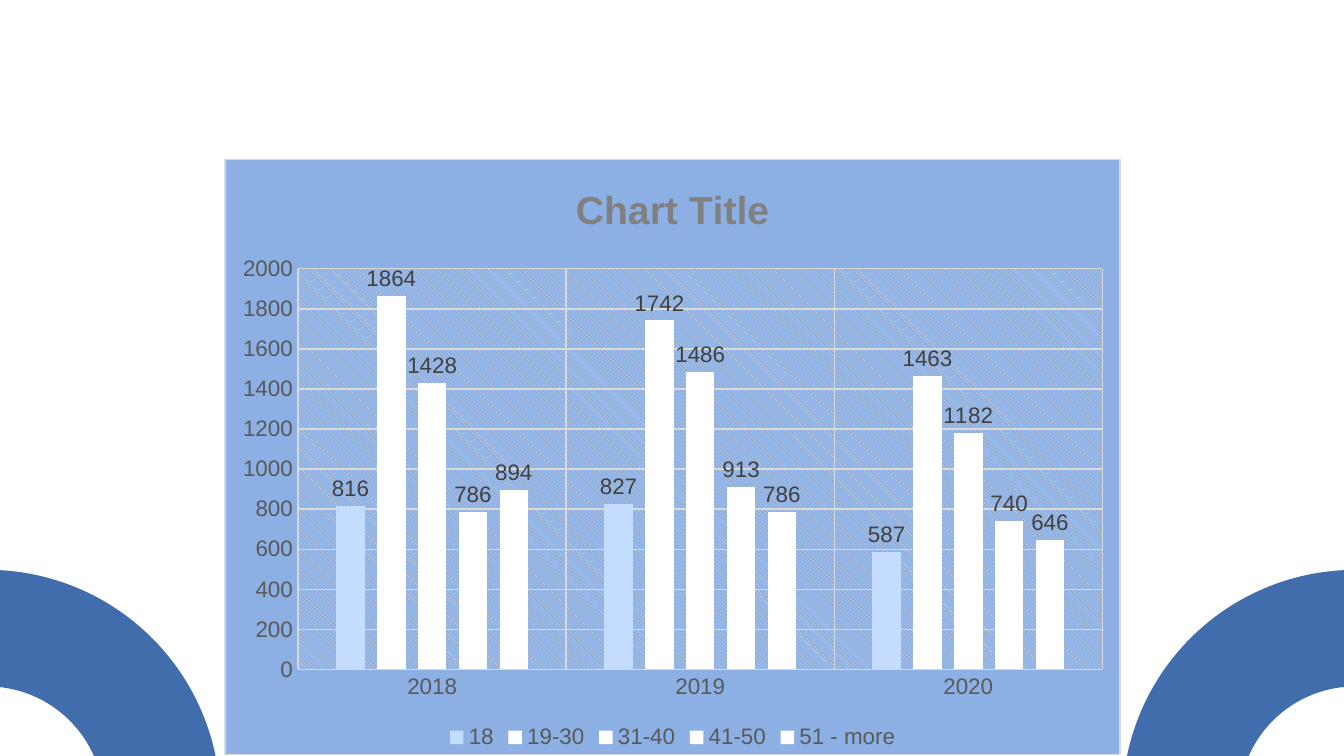
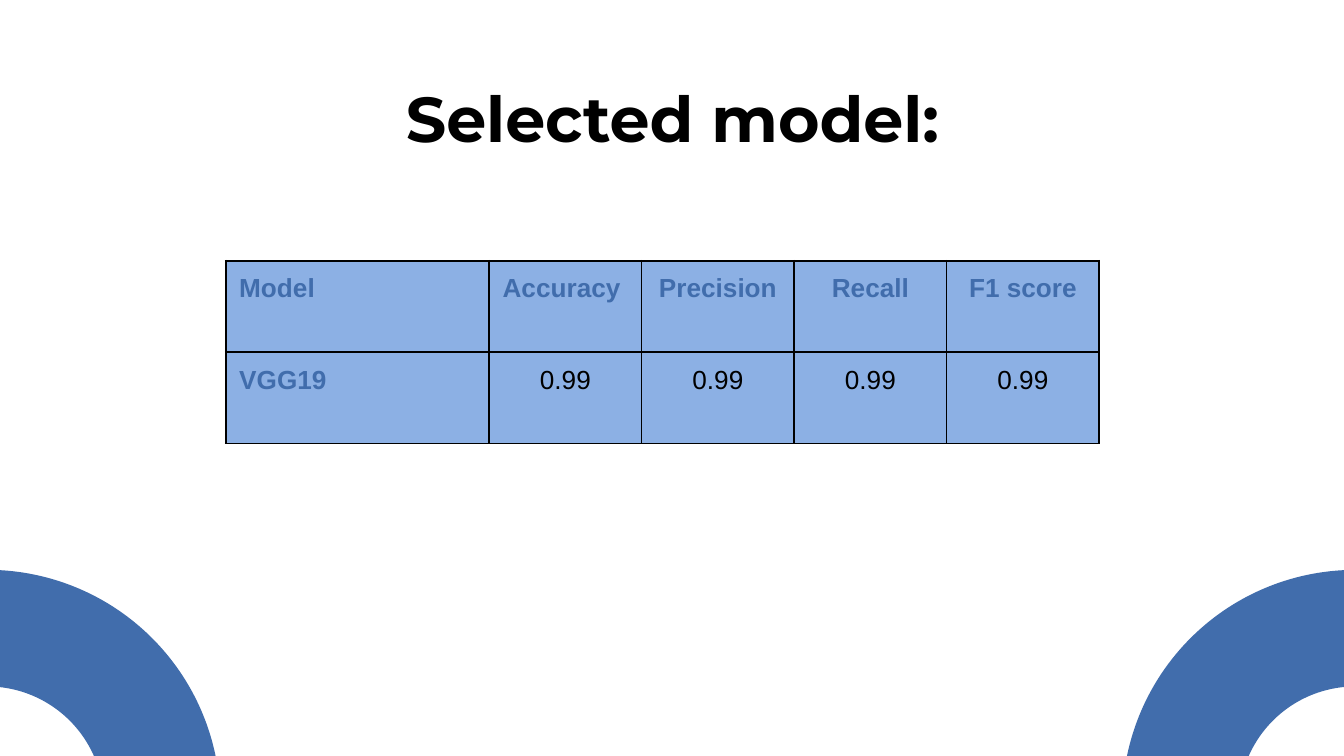
"""Build two slides: a yearly age-group chart and the selected model's scores."""
from lxml.etree import SubElement
from pptx import Presentation
from pptx.chart.data import CategoryChartData
from pptx.dml.color import RGBColor
from pptx.enum.chart import XL_CHART_TYPE, XL_LABEL_POSITION, XL_LEGEND_POSITION, XL_TICK_MARK
from pptx.enum.shapes import MSO_SHAPE
from pptx.enum.text import MSO_ANCHOR, PP_ALIGN
from pptx.oxml import parse_xml
from pptx.oxml.ns import nsdecls, qn
from pptx.util import Inches, Pt

BLUE = RGBColor(0x41, 0x6D, 0xAC)
SKY = RGBColor(0x8C, 0xB0, 0xE4)
PALE = RGBColor(0xC3, 0xDC, 0xFF)
WHITE = RGBColor(0xFF, 0xFF, 0xFF)
BLACK = RGBColor(0, 0, 0)
RULE = RGBColor(0xD9, 0xD9, 0xD9)
AXIS_TEXT = RGBColor(0x59, 0x59, 0x59)
LABEL_TEXT = RGBColor(0x40, 0x40, 0x40)
TITLE_GRAY = RGBColor(0x80, 0x80, 0x80)
BODY_FONT = "Arial"
TITLE_FONT = "Montserrat"


def set_font(font, size, color, bold=False, name=BODY_FONT):
    font.name = name
    font.size = Pt(size)
    font.bold = bold
    font.color.rgb = color


def set_rule(line):
    line.color.rgb = RULE
    line.width = Pt(0.75)


prs = Presentation()
prs.slide_width = Inches(10)
prs.slide_height = Inches(10 * 9 / 16)

s = prs.slides.add_slide(prs.slide_layouts[6])
master_tree = prs.slide_master.shapes.element
for i, (left, rotation) in enumerate([(-1.83, 0), (8.35, 270)]):
    arc = s.shapes.add_shape(MSO_SHAPE.BLOCK_ARC, Inches(left), Inches(4.24), Inches(3.47), Inches(3.47))
    arc.rotation = rotation
    for j, value in enumerate([162, 0, 0.25]):
        arc.adjustments[j] = value
    arc.shadow.inherit = False
    arc.fill.solid()
    arc.fill.fore_color.rgb = BLUE
    arc.line.fill.background()
    arc.element.nvSpPr.cNvPr.set("id", str(100 + i))
    master_tree.insert(2 + i, arc.element)

data = CategoryChartData()
data.categories = ["2018", "2019", "2020"]
age_groups = [
    ("18", (816, 827, 587), PALE),
    ("19-30", (1864, 1742, 1463), WHITE),
    ("31-40", (1428, 1486, 1182), WHITE),
    ("41-50", (786, 913, 740), WHITE),
    ("51 - more", (894, 786, 646), WHITE),
]
for name, values, color in age_groups:
    data.add_series(name, values)

chart = s.shapes.add_chart(
    XL_CHART_TYPE.COLUMN_CLUSTERED, Inches(1.67), Inches(1.18), Inches(6.67), Inches(4.44), data
).chart
set_font(chart.font, 10, BLACK)
chart.has_title = True
chart.chart_title.include_in_layout = False
p = chart.chart_title.text_frame.paragraphs[0]
p.text = "Chart Title"
set_font(p.runs[0].font, 21, TITLE_GRAY, bold=True)
chart.has_legend = True
chart.legend.position = XL_LEGEND_POSITION.BOTTOM
chart.legend.include_in_layout = False
set_font(chart.legend.font, 12, AXIS_TEXT)

plot = chart.plots[0]
plot.gap_width = 267
plot.overlap = -43
plot.vary_by_categories = False
for series, (name, values, color) in zip(plot.series, age_groups):
    series.format.fill.solid()
    series.format.fill.fore_color.rgb = color
    series.invert_if_negative = False
    labels = series.data_labels
    labels.show_value = True
    labels.position = XL_LABEL_POSITION.OUTSIDE_END
    set_font(labels.font, 12, LABEL_TEXT)

for axis in (chart.category_axis, chart.value_axis):
    axis.major_tick_mark = XL_TICK_MARK.NONE
    axis.minor_tick_mark = XL_TICK_MARK.NONE
    axis.has_major_gridlines = True
    set_rule(axis.major_gridlines.format.line)
    set_font(axis.tick_labels.font, 12, AXIS_TEXT)
set_rule(chart.category_axis.format.line)
chart.value_axis.format.line.fill.background()

chart_xml = chart.element.find(qn("c:chart"))
chart_xml.find(qn("c:plotArea")).append(parse_xml(
    f'<c:spPr {nsdecls("c", "a")}><a:pattFill prst="ltDnDiag">'
    f'<a:fgClr><a:srgbClr val="{RULE}"/></a:fgClr><a:bgClr><a:srgbClr val="{SKY}"/></a:bgClr>'
    '</a:pattFill><a:ln><a:noFill/></a:ln></c:spPr>'
))
chart_xml.addnext(parse_xml(
    f'<c:spPr {nsdecls("c", "a")}><a:solidFill><a:srgbClr val="{SKY}"/></a:solidFill>'
    f'<a:ln w="{Pt(0.75)}"><a:solidFill><a:srgbClr val="{RULE}"/></a:solidFill></a:ln></c:spPr>'
))

s = prs.slides.add_slide(prs.slide_layouts[5])
title = s.shapes.title
title.left, title.top, title.width, title.height = Inches(0.79), Inches(0.49), Inches(8.43), Inches(0.63)
tf = title.text_frame
tf.text = "Selected model:"
tf.vertical_anchor = MSO_ANCHOR.TOP
tf.margin_left = tf.margin_right = tf.margin_top = tf.margin_bottom = Inches(0.1)
p = tf.paragraphs[0]
p.alignment = PP_ALIGN.CENTER
set_font(p.runs[0].font, 34, BLACK, bold=True, name=TITLE_FONT)

rows = [
    ["Model", "Accuracy", "Precision", "Recall", "F1 score"],
    ["VGG19"] + ["0.99"] * 4,
]
table = s.shapes.add_table(2, 5, Inches(1.68), Inches(1.94), Inches(6.5), Inches(1.36)).table
table.first_row = False
table.horz_banding = False
for i, column in enumerate(table.columns):
    column.width = Inches((6.5 - 1.96) / 4 if i else 1.96)
for i, row in enumerate(rows):
    table.rows[i].height = Inches(0.68)
    for j, text in enumerate(row):
        cell = table.cell(i, j)
        cell.text = text
        cell.margin_left = cell.margin_right = cell.margin_top = cell.margin_bottom = Inches(0.1)
        p = cell.text_frame.paragraphs[0]
        p.alignment = PP_ALIGN.LEFT if j == 0 or text == "Accuracy" else PP_ALIGN.CENTER
        header = i == 0 or j == 0
        set_font(p.runs[0].font, 14, BLUE if header else BLACK, bold=header)
        tc_pr = cell._tc.get_or_add_tcPr()
        for side in ("L", "R", "T", "B"):
            border = SubElement(tc_pr, qn(f"a:ln{side}"), w=str(Pt(1)))
            fill = SubElement(border, qn("a:solidFill"))
            SubElement(fill, qn("a:srgbClr"), val=str(BLACK))
        cell.fill.solid()
        cell.fill.fore_color.rgb = SKY

prs.save("out.pptx")
